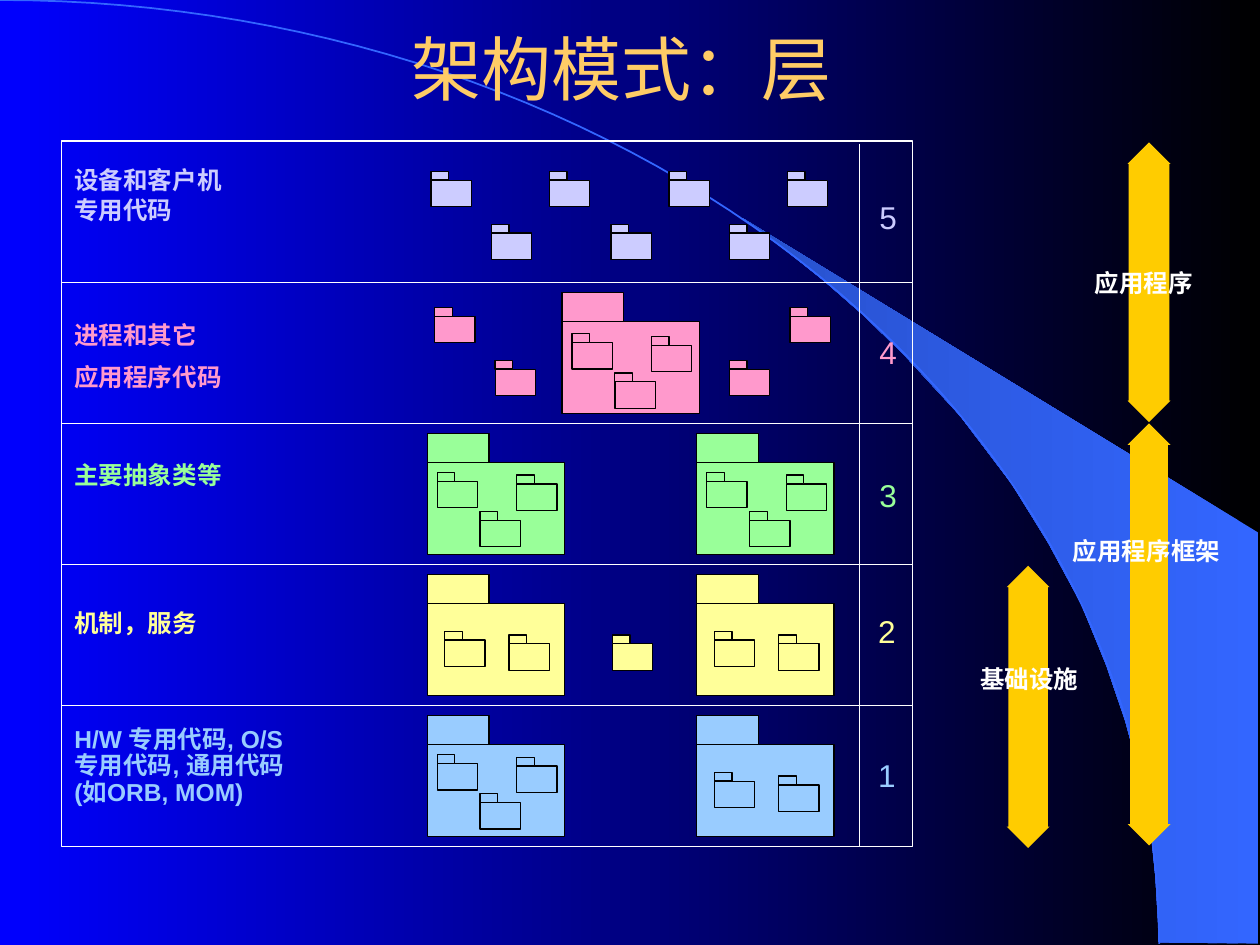
"""Build a slide showing the layers architecture pattern."""
from math import cos, pi, sin

from lxml.etree import SubElement
from pptx import Presentation
from pptx.dml.color import RGBColor
from pptx.enum.shapes import MSO_CONNECTOR, MSO_SHAPE
from pptx.enum.text import MSO_ANCHOR, MSO_AUTO_SIZE, PP_ALIGN
from pptx.oxml.ns import qn
from pptx.util import Inches, Pt

COLORS = {
    "black": "000000", "blue": "0000FF", "arc": "3366FF", "arc_dark": "2851CC",
    "title": "FFCC66", "white": "FFFFFF", "arrow": "FFCC00", "lilac": "CCCCFF",
    "pink": "FF99CC", "green": "99FF99", "yellow": "FFFF99", "sky": "99CCFF",
}
TITLE = "架构模式：层"
TRIO = [(0.08, 0.15), (0.42, 0.46), (0.71, 0.17)]
LOW_TRIO = [(left, top + 0.02) for left, top in TRIO]
PAIR = [(0.14, 0.29), (0.65, 0.32)]
LAYERS = [
    {"number": "5", "color": "lilac", "lines": ["设备和客户机", "专用代码"],
     "label": (0.47, 1.35, 2.69, 0.47), "spacing": 0.5, "number_at": (6.86, 1.51),
     "large": [],
     "small": [(3.42, 0.31), (4.36, 0.31), (5.31, 0.31), (6.25, 0.31),
               (3.9, 0.73), (4.85, 0.73), (5.79, 0.73)]},
    {"number": "4", "color": "pink", "lines": ["进程和其它", "应用程序代码"],
     "label": (0.47, 2.51, 2.69, 0.66), "spacing": 0.9, "number_at": (6.86, 2.58),
     "large": [(4.46, LOW_TRIO)],
     "small": [(3.45, 0.27), (6.27, 0.27), (3.93, 0.69), (5.79, 0.69)]},
    {"number": "3", "color": "green", "lines": ["主要抽象类等"],
     "label": (0.47, 3.62, 2.69, 0.33), "spacing": 0.9, "number_at": (6.86, 3.72),
     "large": [(3.39, TRIO), (5.53, TRIO)], "small": []},
    {"number": "2", "color": "yellow", "lines": ["机制，服务"],
     "label": (0.47, 4.87, 1.74, 0.24), "spacing": 0.5, "number_at": (6.85, 4.8),
     "large": [(3.39, PAIR), (5.53, PAIR)], "small": [(4.86, 0.63)]},
    {"number": "1", "color": "sky",
     "lines": ["H/W 专用代码, O/S 专用代码, 通用代码 (如ORB, MOM)"],
     "label": (0.47, 5.71, 2.01, 0.75), "spacing": 0.9, "number_at": (6.85, 5.94),
     "large": [(3.39, TRIO), (5.53, PAIR)], "small": []},
]
SCOPES = [
    ("应用程序", (8.95, 1.13, 0.34, 2.22), 0.95, (8.21, 2.07, 1.74, 0.35), 1),
    ("应用程序框架", (8.95, 3.36, 0.34, 3.35), 0.88, (8.39, 4.3, 1.42, 0.24), 0.5),
    ("基础设施", (7.99, 4.49, 0.34, 2.24), 0.92, (7.42, 5.21, 1.5, 0.35), 1),
]
SWEEP = [
    (9.2, 7.48), (9.99, 7.49), (9.99, 4.23), (5.89, 1.73), (6.24, 1.99), (6.53, 2.22),
    (6.85, 2.5), (7.16, 2.8), (7.62, 3.3), (8.03, 3.84), (8.32, 4.31), (8.58, 4.79),
    (8.78, 5.28), (8.93, 5.72), (9.03, 6.09), (9.13, 6.56), (9.17, 6.96),
]
ARC_WIDTH, ARC_HEIGHT, ARC_STEPS = 9.2, 7.49, 60
ROW_LEFT, ROW_TOP, ROW_WIDTH, ROW_HEIGHT = 0.49, 1.12, 6.75, 1.12
LARGE_DROP = 0.31
LARGE_SIZE = (1.09, 0.73, 0.49, 0.23)
SMALL_SIZE = (0.32, 0.21, 0.14, 0.07)


def rgb(name):
    return RGBColor.from_string(COLORS[name])


def set_gradient(fill, names):
    fill.gradient()
    fill.gradient_angle = 180
    for stop, name in zip(fill.gradient_stops, names):
        stop.color.rgb = rgb(name)


def style(shape, fill=None, line=None, width=0.0):
    shape.shadow.inherit = False
    if fill:
        shape.fill.solid()
        shape.fill.fore_color.rgb = rgb(fill)
    else:
        shape.fill.background()
    if line:
        shape.line.color.rgb = rgb(line)
        shape.line.width = Pt(width)
    else:
        shape.line.fill.background()


def add_shape(shapes, kind, area, **look):
    shape = shapes.add_shape(kind, *map(Inches, area))
    style(shape, **look)
    return shape


def add_outline(page, points, close):
    builder = page.shapes.build_freeform(*map(Inches, points[0]))
    builder.add_line_segments([tuple(map(Inches, point)) for point in points[1:]], close)
    return builder.convert_to_shape()


def add_text(page, lines, area, color, size=14, bold=True, align=PP_ALIGN.LEFT,
             spacing=1, inset=(0.12, 0.06), shadow=False):
    box = page.shapes.add_textbox(*map(Inches, area))
    frame = box.text_frame
    margins = dict(zip(("left", "top", "right", "bottom"), inset * 2))
    for side, value in margins.items():
        setattr(frame, f"margin_{side}", Inches(value))
    frame.word_wrap = True
    frame.auto_size = MSO_AUTO_SIZE.SHAPE_TO_FIT_TEXT
    for index, line in enumerate(lines):
        para = frame.paragraphs[0] if index == 0 else frame.add_paragraph()
        para.alignment = align
        para.line_spacing = float(spacing)
        if index:
            para.space_before = Pt(8.8)
        span = para.add_run()
        span.text = line
        for key, value in {"size": Pt(size), "bold": bold}.items():
            setattr(span.font, key, value)
        span.font.color.rgb = rgb(color)
        if shadow:
            effects = SubElement(span.font.color._xFill.getparent(), qn("a:effectLst"))
            cast = SubElement(effects, qn("a:outerShdw"), dist="25400", dir="2700000")
            SubElement(cast, qn("a:srgbClr"), val=COLORS["black"])
        span.font.name = "Arial"
    return box


def add_folder(page, left, top, size, color):
    width, height, tab_width, tab_height = size
    folder = page.shapes.add_group_shape()
    for area in [(left, top, width, height),
                 (left, top - tab_height, tab_width, tab_height)]:
        add_shape(folder.shapes, MSO_SHAPE.RECTANGLE, area, fill=color, line="black")


def add_backdrop(page):
    set_gradient(page.background.fill, ("black", "blue"))
    sweep = add_outline(page, SWEEP, True)
    style(sweep)
    set_gradient(sweep.fill, ("arc", "arc_dark"))
    angles = [step * pi / 2 / ARC_STEPS for step in range(ARC_STEPS + 1)]
    arc = [(ARC_WIDTH * sin(angle), ARC_HEIGHT * (1 - cos(angle))) for angle in angles]
    style(add_outline(page, arc, False), line="arc", width=1)


def add_layer(page, index, layer):
    top, color = ROW_TOP + index * ROW_HEIGHT, layer["color"]
    add_shape(page.shapes, MSO_SHAPE.RECTANGLE, (ROW_LEFT, top, ROW_WIDTH, ROW_HEIGHT),
              line="white", width=0.75)
    add_text(page, layer["lines"], layer["label"], color, spacing=layer["spacing"])
    for left, inner in layer["large"]:
        add_folder(page, left, top + LARGE_DROP, LARGE_SIZE, color)
        for across, down in inner:
            add_folder(page, left + across, top + LARGE_DROP + down, SMALL_SIZE, color)
    for left, drop in layer["small"]:
        add_folder(page, left, top + drop, SMALL_SIZE, color)
    add_text(page, [layer["number"]], (*layer["number_at"], 0.34, 0.42), color,
             size=18, bold=False, align=PP_ALIGN.CENTER)


def main():
    deck = Presentation()
    deck.slide_width, deck.slide_height = Inches(10), Inches(7.5)
    page = deck.slides.add_slide(deck.slide_layouts[6])
    add_backdrop(page)
    title = add_text(page, [TITLE], (0.35, 0.21, 9.17, 0.65), "title", size=40,
                     bold=False, align=PP_ALIGN.CENTER, inset=(0.1, 0.05))
    title.text_frame.auto_size = MSO_AUTO_SIZE.NONE
    title.text_frame.vertical_anchor = MSO_ANCHOR.MIDDLE
    for index, layer in enumerate(LAYERS):
        add_layer(page, index, layer)
    divider = page.shapes.add_connector(
        MSO_CONNECTOR.STRAIGHT, *map(Inches, (6.82, 1.14, 6.82, 6.72)))
    divider.line.color.rgb = rgb("white")
    divider.line.width = Pt(0.75)
    SubElement(divider._element.spPr, qn("a:effectLst"))
    for _, area, head, _, _ in SCOPES:
        arrow = add_shape(page.shapes, MSO_SHAPE.UP_DOWN_ARROW, area, fill="arrow")
        arrow.adjustments[0], arrow.adjustments[1] = 0.42, head
    for name, _, _, area, spacing in SCOPES:
        add_text(page, [name], area, "white", align=PP_ALIGN.CENTER,
                 spacing=spacing, shadow=True)
    deck.save("out.pptx")


if __name__ == "__main__":
    main()
